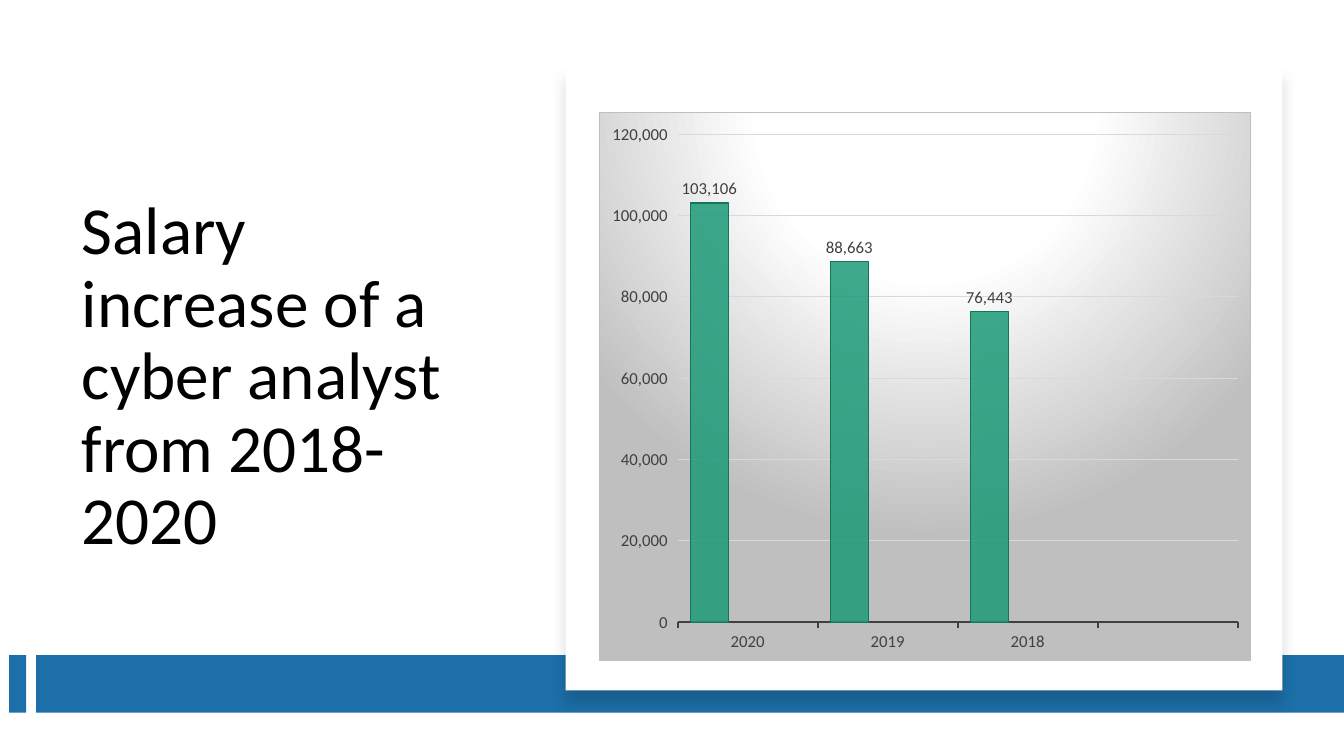
from dataclasses import dataclass

from lxml import etree
from pptx import Presentation
from pptx.chart.data import CategoryChartData
from pptx.dml.color import RGBColor
from pptx.enum.chart import XL_CHART_TYPE as ChartType
from pptx.enum.chart import XL_LABEL_POSITION as LabelPos
from pptx.enum.chart import XL_TICK_MARK as Tick
from pptx.enum.shapes import MSO_SHAPE as Shape
from pptx.enum.text import MSO_ANCHOR as Anchor
from pptx.enum.text import PP_ALIGN as Align
from pptx.oxml import parse_xml
from pptx.oxml.ns import nsdecls, qn
from pptx.util import Inches, Pt


@dataclass(frozen=True)
class Theme:
    font: str = "Calibri"
    title_size: int = 48
    label_size: int = 12
    title: str = "000000"
    band: str = "1D6FA9"
    card: str = "FFFFFF"
    label: str = "404040"
    grid: str = "D9D9D9"
    chart_edge: str = "BFBFBF"
    series: tuple = (("1D9A78", "16745A"), ("8BC145", "699331"), ("36AFCE", "26859D"))


THEME = Theme()
YEARS = ["2020", "2019", "2018", ""]
SALARIES = [103106, 88663, 76443, None]
EMPTY = [None] * len(YEARS)


def rgb(value):
    return RGBColor.from_string(value)


def style_font(font, size, color):
    font.name = THEME.font
    font.size = Pt(size)
    font.color.rgb = rgb(color)


def style_line(line, color, width):
    line.color.rgb = rgb(color)
    line.width = Pt(width)


def write_text(tf, text, *, size, color, spacing=1.0, anchor=Anchor.MIDDLE):
    tf.word_wrap = True
    tf.vertical_anchor = anchor
    p = tf.paragraphs[0]
    p.alignment = Align.LEFT
    p.line_spacing = spacing
    r = p.add_run()
    r.text = text
    style_font(r.font, size, color)


def add_block(slide, left, top, width, height, color):
    sp = slide.shapes.add_shape(
        Shape.RECTANGLE, Inches(left), Inches(top), Inches(width), Inches(height))
    sp.shadow.inherit = False
    sp.fill.solid()
    sp.fill.fore_color.rgb = rgb(color)
    sp.line.fill.background()
    return sp


def add_drop_shadow(sp, alpha, blur, distance):
    effects = sp._element.spPr.find(qn("a:effectLst"))
    shadow = etree.SubElement(
        effects, qn("a:outerShdw"), blurRad=str(Pt(blur)), dist=str(Pt(distance)),
        dir="5400000", algn="t", rotWithShape="0")
    color = etree.SubElement(shadow, qn("a:srgbClr"), val="000000")
    etree.SubElement(color, qn("a:alpha"), val=str(alpha * 1000))


def set_chart_background(chart):
    stops = "".join(
        f'<a:gs pos="{pos * 1000}"><a:srgbClr val="{color}"/></a:gs>'
        for pos, color in ((0, THEME.card), (39, THEME.card), (100, THEME.chart_edge)))
    sp_pr = parse_xml(
        f'<c:spPr {nsdecls("c", "a")}><a:gradFill><a:gsLst>{stops}</a:gsLst>'
        '<a:path path="circle"><a:fillToRect l="50000" t="-80000" r="50000" b="180000"/>'
        f'</a:path></a:gradFill><a:ln w="{Pt(0.75)}"><a:solidFill>'
        f'<a:srgbClr val="{THEME.chart_edge}"/></a:solidFill></a:ln></c:spPr>')
    chart._chartSpace.find(qn("c:chart")).addnext(sp_pr)


def set_plot_area(chart, x, y, w, h):
    area = chart._chartSpace.find(qn("c:chart")).find(qn("c:plotArea"))
    for old in area.findall(qn("c:layout")):
        area.remove(old)
    sizes = "".join(f'<c:{key} val="{val}"/>' for key, val in zip("xywh", (x, y, w, h)))
    area.insert(0, parse_xml(
        f'<c:layout {nsdecls("c")}><c:manualLayout><c:layoutTarget val="inner"/>'
        f'<c:xMode val="edge"/><c:yMode val="edge"/>{sizes}</c:manualLayout></c:layout>'))
    area.append(parse_xml(f'<c:spPr {nsdecls("c", "a")}><a:noFill/></c:spPr>'))


def style_series(series, fill, edge):
    series.format.fill.solid()
    series.format.fill.fore_color.rgb = rgb(fill)
    color = next(series.format.fill._xPr.iter(qn("a:srgbClr")))
    etree.SubElement(color, qn("a:alpha"), val="85000")
    style_line(series.format.line, edge, 0.75)
    labels = series.data_labels
    labels.show_value = True
    labels.position = LabelPos.OUTSIDE_END
    style_font(labels.font, THEME.label_size, THEME.label)


def style_axes(chart):
    for axis in (chart.category_axis, chart.value_axis):
        axis.major_tick_mark = Tick.OUTSIDE
        axis.minor_tick_mark = Tick.NONE
        style_font(axis.tick_labels.font, THEME.label_size, THEME.label)
    style_line(chart.category_axis.format.line, THEME.label, 1.5)
    values = chart.value_axis
    values.minimum_scale, values.maximum_scale, values.major_unit = 0, 120000, 20000
    values.format.line.fill.background()
    style_line(values.major_gridlines.format.line, THEME.grid, 0.75)
    values.tick_labels.number_format = "#,##0"
    values.tick_labels.number_format_is_linked = False


def add_salary_chart(slide):
    data = CategoryChartData(number_format="#,##0")
    data.categories = YEARS
    for number, values in enumerate((SALARIES, EMPTY, EMPTY), start=1):
        data.add_series(f"Series {number}", values)
    chart = slide.shapes.add_chart(
        ChartType.COLUMN_CLUSTERED, Inches(5.94), Inches(1.11),
        Inches(6.47), Inches(5.45), data).chart
    chart.has_title = False
    chart.has_legend = False
    style_font(chart.font, 10, THEME.title)
    plot = chart.plots[0]
    plot.gap_width = 65
    plot.overlap = 0
    plot.vary_by_categories = False
    for series, colors in zip(plot.series, THEME.series):
        style_series(series, *colors)
    style_axes(chart)
    set_plot_area(chart, 0.12, 0.04, 0.86, 0.89)
    set_chart_background(chart)


def add_title(slide, text):
    title = slide.shapes.title
    title.left, title.top = Inches(0.71), Inches(1.2)
    title.width, title.height = Inches(4.15), Inches(5.1)
    write_text(title.text_frame, text, size=THEME.title_size,
               color=THEME.title, spacing=0.9)


def main():
    prs = Presentation()
    prs.slide_width, prs.slide_height = Inches(13.33), Inches(7.5)
    slide = prs.slides.add_slide(prs.slide_layouts[5])

    # Title on the left
    add_title(slide, "Salary increase of a cyber analyst from 2018-2020")

    # Band along the bottom
    for left, width in ((0.09, 0.17), (0.36, 12.97)):
        add_block(slide, left, 6.5, width, 0.57, THEME.band)

    # Raised card with the chart
    card = add_block(slide, 5.61, 0.64, 7.11, 6.21, THEME.card)
    add_drop_shadow(card, alpha=15, blur=11, distance=10)
    add_salary_chart(slide)

    prs.save("out.pptx")


if __name__ == "__main__":
    main()
